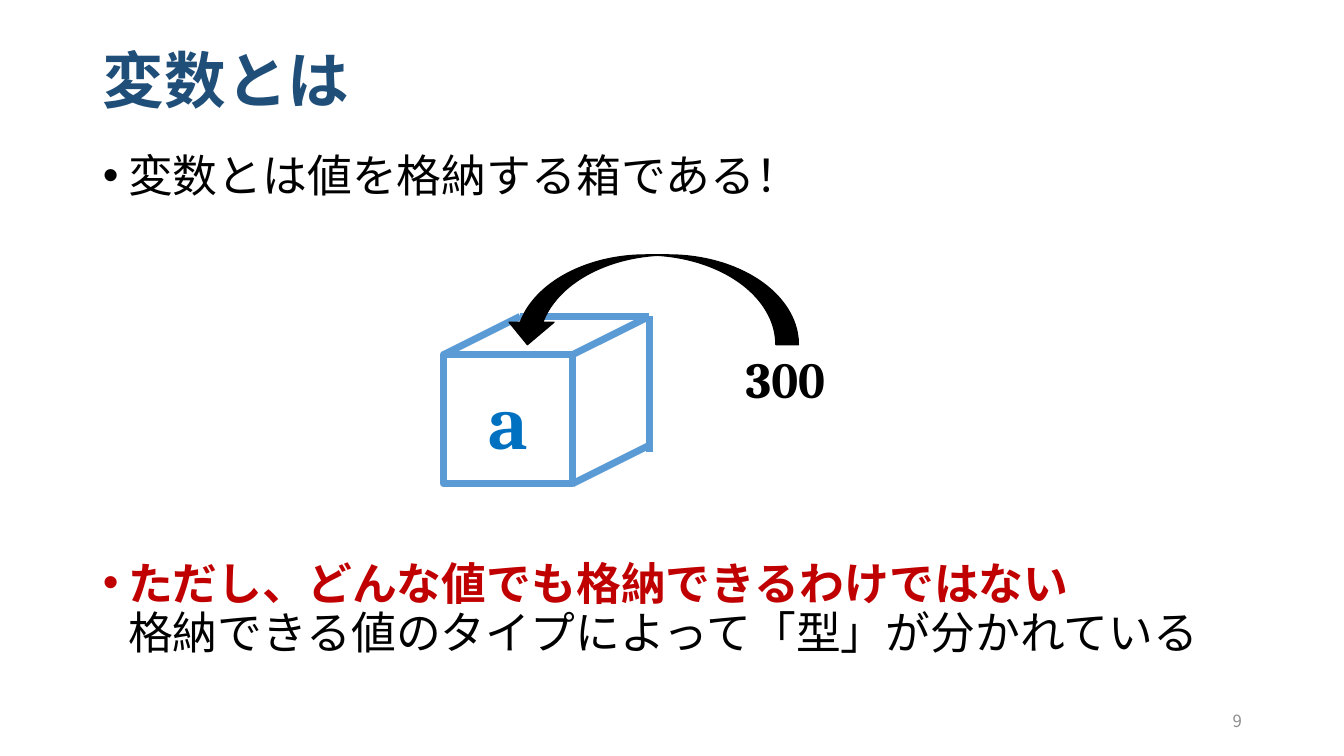
"""Build the slide that explains a variable as a box holding a value."""
from dataclasses import dataclass

from lxml import etree
from pptx import Presentation
from pptx import util as u
from pptx.dml.color import RGBColor
from pptx.enum import shapes, text
from pptx.oxml import ns

COLORS = {
    "title": "1F4E79",
    "text": "000000",
    "warning": "C00000",
    "box": "5B9BD5",
    "name": "0070C0",
    "page": "8C8C8C",
}
SANS, SERIF = "Noto Sans CJK JP", "Cambria"
COLUMNS = 40
CELL = u.Inches(13.33) / COLUMNS
SIDE, DEPTH, RISE = 3.84, 2.28, 1.14
LEFT, TOP = 13.2, 10.56
RIGHT, BOTTOM = LEFT + SIDE, TOP + SIDE


@dataclass
class Area:
    left: float
    top: float
    width: float
    height: float


@dataclass
class Edge:
    x1: float
    y1: float
    x2: float
    y2: float


@dataclass
class Style:
    size: float
    color: str
    font: str = SANS
    bold: bool = False
    align: text.PP_ALIGN = text.PP_ALIGN.LEFT


EDGES = [
    Edge(RIGHT, TOP, RIGHT + DEPTH, TOP - RISE),
    Edge(RIGHT + DEPTH, 13.47, RIGHT + DEPTH, TOP - RISE),
    Edge(RIGHT, BOTTOM, RIGHT + DEPTH, BOTTOM - RISE),
    Edge(LEFT, TOP, LEFT + DEPTH, TOP - RISE),
    Edge(LEFT + DEPTH, TOP - RISE, RIGHT + DEPTH, TOP - RISE),
]


def grid(*cells: float) -> list[u.Emu]:
    return [u.Emu(round(c * CELL)) for c in cells]


def box(area: Area) -> list[u.Emu]:
    return grid(area.left, area.top, area.width, area.height)


def rgb(name: str) -> RGBColor:
    return RGBColor.from_string(COLORS[name])


def format_paragraph(p, style: Style) -> None:
    p.alignment = style.align
    font = p.font
    font.size, font.bold, font.name = u.Pt(style.size), style.bold, style.font
    font.color.rgb = rgb(style.color)
    etree.SubElement(font._element, ns.qn("a:ea"), typeface=style.font)


def place(sp, area: Area) -> None:
    sp.left, sp.top, sp.width, sp.height = box(area)


def add_title(s, area: Area, words: str) -> None:
    sp = s.shapes.title
    place(sp, area)
    tf = sp.text_frame
    tf.text, tf.vertical_anchor = words, text.MSO_ANCHOR.MIDDLE
    tf.auto_size = text.MSO_AUTO_SIZE.NONE
    p = tf.paragraphs[0]
    p.line_spacing = 0.9
    format_paragraph(p, Style(44, "title", bold=True))


def add_bullet(p, space_before: float) -> None:
    p.line_spacing, p.space_before = u.Pt(35), u.Pt(space_before)
    format_paragraph(p, Style(32, "text"))
    indent = u.Inches(0.25)
    pPr = p._p.get_or_add_pPr()
    pPr.set("marL", str(indent))
    pPr.set("indent", str(-indent))


def add_body(s, area: Area) -> None:
    sp = s.placeholders[1]
    place(sp, area)
    tf = sp.text_frame
    tf.auto_size = text.MSO_AUTO_SIZE.NONE
    p = tf.paragraphs[0]
    p.text = "変数とは値を格納する箱である！"
    add_bullet(p, 0)
    p = tf.add_paragraph()
    r = p.add_run()
    r.text = "ただし、どんな値でも格納できるわけではない"
    r.font.bold, r.font.color.rgb = True, rgb("warning")
    p.add_line_break()
    p.add_run().text = "格納できる値のタイプによって「型」が分かれている"
    add_bullet(p, 256)


def add_label(s, area: Area, words: str, style: Style, anchor: text.MSO_ANCHOR) -> None:
    tf = s.shapes.add_textbox(*box(area)).text_frame
    tf.word_wrap, tf.vertical_anchor = True, anchor
    tf.text = words
    format_paragraph(tf.paragraphs[0], style)


def add_edge(s, edge: Edge) -> None:
    line = s.shapes.add_connector(
        shapes.MSO_CONNECTOR.STRAIGHT, *grid(edge.x1, edge.y1, edge.x2, edge.y2))
    line.line.color.rgb, line.line.width = rgb("box"), u.Pt(5)
    etree.SubElement(line._element.spPr, ns.qn("a:effectLst"))


def add_cube(s) -> None:
    sp = s.shapes.add_shape(shapes.MSO_SHAPE.RECTANGLE, *box(Area(LEFT, TOP, SIDE, SIDE)))
    sp.shadow.inherit = False
    sp.fill.background()
    sp.line.color.rgb, sp.line.width = rgb("box"), u.Pt(5)
    tf = sp.text_frame
    tf.text, tf.vertical_anchor = "a", text.MSO_ANCHOR.MIDDLE
    format_paragraph(tf.paragraphs[0], Style(54, "name", SERIF, True, text.PP_ALIGN.CENTER))
    for edge in EDGES:
        add_edge(s, edge)


def add_arrow(s, area: Area) -> None:
    sp = s.shapes.add_shape(shapes.MSO_SHAPE.CURVED_RIGHT_ARROW, *box(area))
    sp.rotation = 90
    sp.shadow.inherit = False
    sp.fill.solid()
    sp.fill.fore_color.rgb = rgb("text")
    sp.line.color.rgb, sp.line.width = rgb("text"), u.Pt(1)


def main() -> None:
    prs = Presentation()
    prs.slide_width, prs.slide_height = u.Inches(13.33), u.Inches(7.5)
    s = prs.slides.add_slide(prs.slide_layouts[1])
    add_title(s, Area(2.76, 1.2, 34.5, 2.6), "変数とは")
    add_body(s, Area(2.76, 4.4, 34.5, 15.88))
    add_label(s, Area(28.26, 20.85, 9, 1.2), "9",
              Style(12, "page", align=text.PP_ALIGN.RIGHT), text.MSO_ANCHOR.MIDDLE)
    add_cube(s)
    add_arrow(s, Area(18.06, 4.56, 2.67, 8.73))
    add_label(s, Area(21.9, 10.23, 5.22, 2.13), "300",
              Style(36, "text", SERIF, True), text.MSO_ANCHOR.TOP)
    prs.save("out.pptx")


if __name__ == "__main__":
    main()
